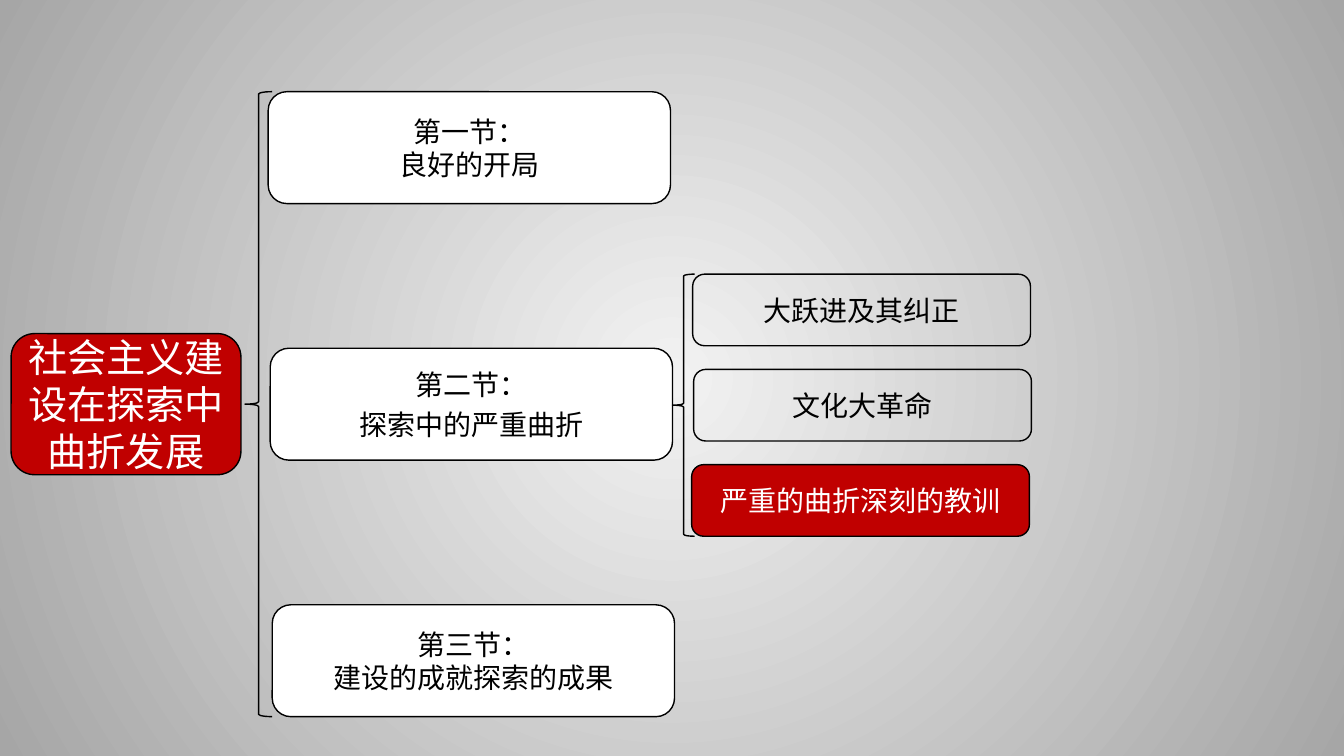
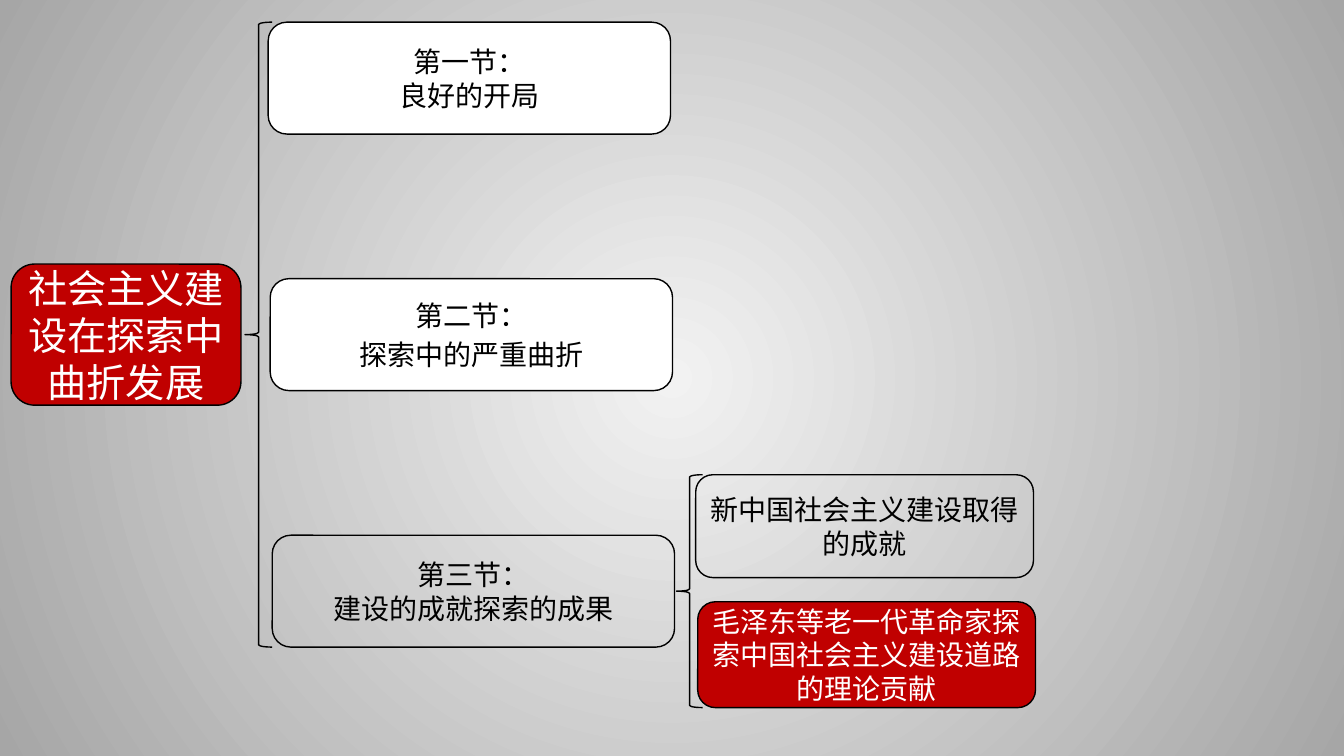
"""Build two mind-map slides on the chapter outline."""
from pptx import Presentation
from pptx.dml.color import RGBColor
from pptx.enum import shapes, text
from pptx.oxml import parse_xml
from pptx.oxml.ns import qn
from pptx.util import Inches, Pt

RED = RGBColor(0xC0, 0x00, 0x00)
WHITE = RGBColor(0xFF, 0xFF, 0xFF)
BLACK = RGBColor(0x00, 0x00, 0x00)
FONT = "Noto Sans CJK SC"
KIND = shapes.MSO_SHAPE

GRAD = """<a:gradFill xmlns:a="http://schemas.openxmlformats.org/drawingml/2006/main" rotWithShape="1">
<a:gsLst><a:gs pos="0"><a:srgbClr val="F2F2F2"/></a:gs>
<a:gs pos="100000"><a:srgbClr val="A6A6A6"/></a:gs></a:gsLst>
<a:path path="circle"><a:fillToRect l="50000" t="50000" r="50000" b="50000"/></a:path>
</a:gradFill>"""

ROOT = "社会主义建设在探索中曲折发展"
PARTS = [
    (["第一节：", "良好的开局"], 0),
    (["第二节：", "探索中的严重曲折"], 4),
    (["第三节：", "建设的成就探索的成果"], 0),
]
SPAN, PART_W, PART_H = 6.2, 3.99, 1.11
ROOT_W, ROOT_H = 2.28, 1.4
LEAF_W = 3.35

SLIDES = [
    {"top": 0.91, "fills": [WHITE, WHITE, WHITE], "brace": (6.67, 2.72, 0.22, 2.6),
     "leaves": [("大跃进及其纠正", 6.87, 0.71, None),
                ("文化大革命", 6.88, 0.71, None),
                ("严重的曲折深刻的教训", 6.86, 0.71, RED)]},
    {"top": 0.22, "fills": [WHITE, WHITE, None], "brace": (6.71, 4.71, 0.26, 2.31),
     "leaves": [("新中国社会主义建设取得的成就", 6.9, 1.02, None),
                ("毛泽东等老一代革命家探索中国社会主义建设道路的理论贡献", 6.92, 1.05, RED)]},
]


def draw(slide, kind, at, fill=None):
    shape = slide.shapes.add_shape(kind, *map(Inches, at))
    shape.shadow.inherit = False
    shape.line.color.rgb = BLACK
    shape.line.width = Pt(1)
    if fill is None:
        shape.fill.background()
    else:
        shape.fill.solid()
        shape.fill.fore_color.rgb = fill
    return shape


def box(slide, lines, at, fill=None, size=20, gap=0):
    frame = draw(slide, KIND.ROUNDED_RECTANGLE, at, fill).text_frame
    frame.text = "\n".join(lines)
    frame.word_wrap = True
    frame.vertical_anchor = text.MSO_ANCHOR.MIDDLE
    frame.margin_left = frame.margin_right = Inches(0.09)
    for para in frame.paragraphs:
        para.alignment = text.PP_ALIGN.CENTER
        para.line_spacing = Pt(size * 1.2)
        for run in para.runs:
            font = run.font
            font.size, font.name = Pt(size), FONT
            font.color.rgb = WHITE if fill == RED else BLACK
            east = run._r.get_or_add_rPr().makeelement(qn("a:ea"), {"typeface": FONT})
            run._r.rPr.find(qn("a:latin")).addnext(east)
    frame.paragraphs[-1].space_before = Pt(gap)


def build(slide, data):
    top = data["top"]
    box(slide, [ROOT], (0.11, top + (SPAN - ROOT_H) / 2, ROOT_W, ROOT_H), RED, 28)
    draw(slide, KIND.LEFT_BRACE, (2.43, top, 0.27, SPAN))
    step = (SPAN - PART_H) / (len(PARTS) - 1)
    for i, ((lines, gap), fill) in enumerate(zip(PARTS, data["fills"])):
        box(slide, lines, (2.66 + 0.02 * i, top + step * i, PART_W, PART_H), fill, gap=gap)

    draw(slide, KIND.LEFT_BRACE, data["brace"])
    leaves = data["leaves"]
    y, span = data["brace"][1], data["brace"][3]
    space = (span - sum(leaf[2] for leaf in leaves)) / (len(leaves) - 1)
    for label, left, high, fill in leaves:
        box(slide, [label], (left, y, LEAF_W, high), fill)
        y += high + space


def main():
    prs = Presentation()
    prs.slide_width, prs.slide_height = Inches(13.33), Inches(7.5)
    master = prs.slide_master
    master.background.fill.solid()
    solid = master.element.find(".//" + qn("p:bgPr")).find(qn("a:solidFill"))
    solid.getparent().replace(solid, parse_xml(GRAD))
    for data in SLIDES:
        build(prs.slides.add_slide(prs.slide_layouts[6]), data)
    prs.save("out.pptx")


if __name__ == "__main__":
    main()
